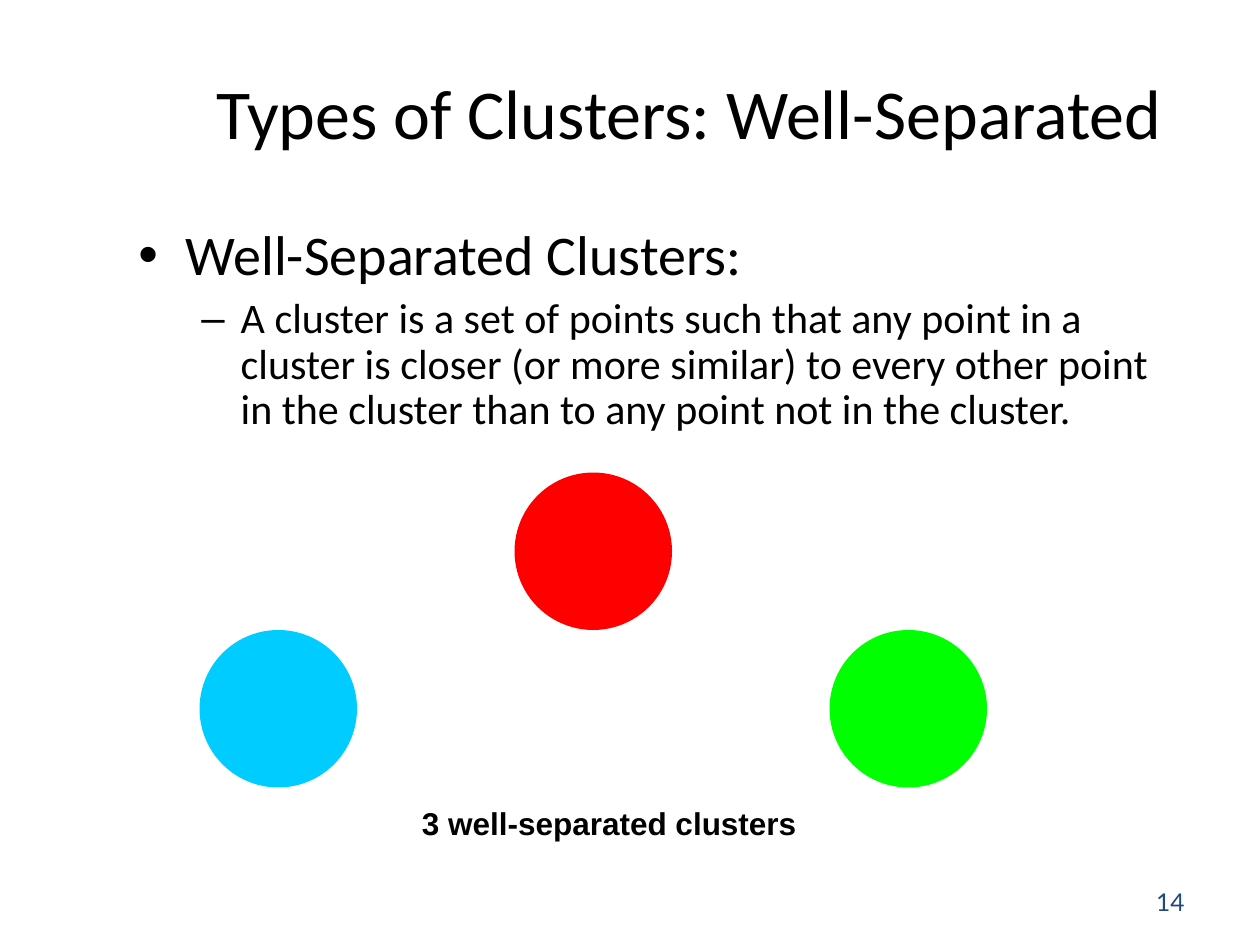
from pptx import Presentation
from pptx.dml.color import RGBColor
from pptx.enum.shapes import MSO_SHAPE as Shape
from pptx.enum.text import MSO_ANCHOR as Anchor, PP_ALIGN as Align
from pptx.oxml.ns import qn
from pptx.util import Pt
from lxml.etree import SubElement


def color(value):
    return RGBColor.from_string(value)


class SlideBuilder:
    font = "Calibri"
    ink = "000000"

    def __init__(self, page):
        self.page = page

    def box(self, left, top, width, height, anchor=Anchor.TOP):
        """Add an empty wrapping text box and return its text frame."""
        box = self.page.shapes.add_textbox(Pt(left), Pt(top), Pt(width), Pt(height))
        frame = box.text_frame
        frame.word_wrap = True
        frame.vertical_anchor = anchor
        return frame

    def span(self, para, text, size, font=None, ink=None, bold=False):
        span = para.add_run()
        span.text = text
        span.font.size = Pt(size)
        span.font.name = font or self.font
        span.font.bold = bold
        span.font.color.rgb = color(ink or self.ink)

    def label(self, place, text, size, align=Align.LEFT, anchor=Anchor.TOP, **style):
        para = self.box(*place, anchor).paragraphs[0]
        para.alignment = align
        self.span(para, text, size, **style)

    def bullet(self, para, mark, text, size, margin, hang, level=0):
        para.level = level
        para.line_spacing = 0.9
        properties = para._p.get_or_add_pPr()
        properties.set("marL", str(Pt(margin)))
        properties.set("indent", str(-Pt(hang)))
        tint = SubElement(properties, qn("a:buClr"))
        SubElement(tint, qn("a:srgbClr"), val=self.ink)
        SubElement(properties, qn("a:buFont"), typeface="Arial")
        SubElement(properties, qn("a:buChar"), char=mark)
        self.span(para, text, size)

    def circle(self, left, top, size, fill):
        circle = self.page.shapes.add_shape(
            Shape.OVAL, Pt(left), Pt(top), Pt(size), Pt(size))
        circle.shadow.inherit = False
        circle.fill.solid()
        circle.fill.fore_color.rgb = color(fill)
        circle.line.fill.background()


def main():
    deck = Presentation()
    deck.slide_width, deck.slide_height = Pt(720), Pt(540)
    builder = SlideBuilder(deck.slides.add_slide(deck.slide_layouts[6]))

    builder.label((67.5, 42, 652.5, 43), "Types of Clusters: Well-Separated", 40,
                  Align.CENTER, Anchor.MIDDLE)
    builder.label((516, 500.5, 168, 29), "14", 14, Align.RIGHT, Anchor.MIDDLE,
                  font="Lato", ink="1F497D")

    body = builder.box(72, 126, 612, 343.5)
    builder.bullet(body.paragraphs[0], "•", "Well-Separated Clusters:", 32, 27, 27)
    detail = body.add_paragraph()
    builder.bullet(detail, "–", "A cluster is a set of points such that any point in a "
                   "cluster is closer (or more similar) to every other point in the "
                   "cluster than to any point not in the cluster.", 24, 58.5, 22.5, level=1)
    detail.space_before = Pt(6)

    diameter = 90
    for left, top, fill in ((114, 360, "00CCFF"), (474, 360, "00FF00"),
                            (294, 270, "FF0000")):
        builder.circle(left, top, diameter, fill)
    builder.label((234, 456, 252, 29), "3 well-separated clusters", 18,
                  font="Arial", bold=True)

    deck.save("out.pptx")


if __name__ == "__main__":
    main()
